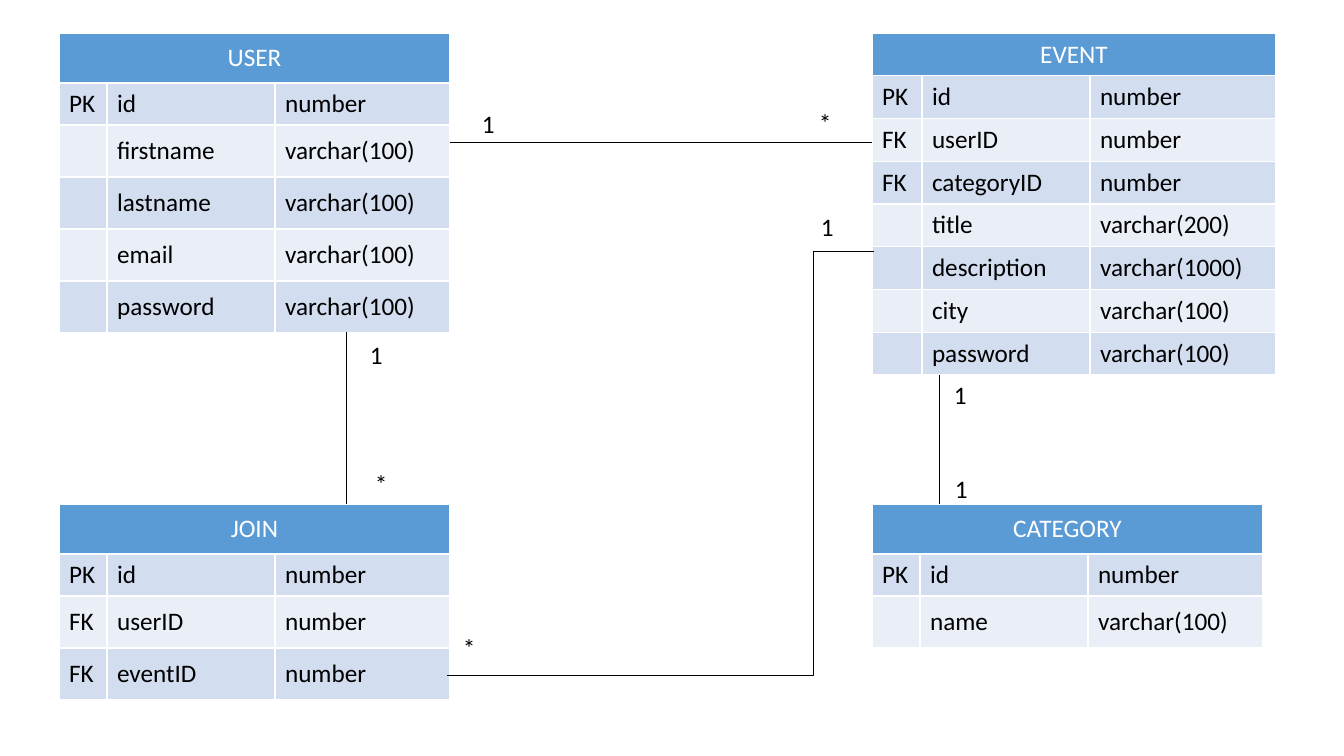
from dataclasses import dataclass

from lxml.etree import SubElement
from pptx import Presentation
from pptx.dml.color import RGBColor
from pptx.enum.shapes import MSO_CONNECTOR
from pptx.enum.text import MSO_ANCHOR, MSO_AUTO_SIZE, PP_ALIGN
from pptx.oxml.ns import qn
from pptx.util import Pt

SCALE = 914400 / 100.8


@dataclass(frozen=True)
class Theme:
    font: str = "Calibri"
    size: int = 18
    text: str = "000000"
    header_text: str = "FFFFFF"
    header: str = "5B9BD5"
    bands: tuple = ("D2DEEF", "EAEFF7")
    line: str = "000000"
    line_width: float = 0.5


THEME = Theme()
COLS = (48, 168, 175)
HEADER_H, KEY_H, FIELD_H = 50, 42, 52

USER = [
    ("PK", "id", "number"),
    ("", "firstname", "varchar(100)"),
    ("", "lastname", "varchar(100)"),
    ("", "email", "varchar(100)"),
    ("", "password", "varchar(100)"),
]
EVENT = [
    ("PK", "id", "number"),
    ("FK", "userID", "number"),
    ("FK", "categoryID", "number"),
    ("", "title", "varchar(200)"),
    ("", "description", "varchar(1000)"),
    ("", "city", "varchar(100)"),
    ("", "password", "varchar(100)"),
]
CATEGORY = [
    ("PK", "id", "number"),
    ("", "name", "varchar(100)"),
]
JOIN = [
    ("PK", "id", "number"),
    ("FK", "userID", "number"),
    ("FK", "eventID", "number"),
]


def px(n):
    return round(n * SCALE)


def write(tf, text, color=THEME.text, size=THEME.size, align=PP_ALIGN.LEFT):
    p = tf.paragraphs[0]
    p.alignment = align
    r = p.add_run()
    r.text = text
    r.font.name = THEME.font
    r.font.size = Pt(size)
    r.font.bold = False
    r.font.color.rgb = RGBColor.from_string(color)


def style_cell(cell, fill):
    cell.fill.solid()
    cell.fill.fore_color.rgb = RGBColor.from_string(fill)
    cell.vertical_anchor = MSO_ANCHOR.MIDDLE


def add_entity(s, name, fields, x, y, cols=COLS, heights=None):
    heights = heights or [HEADER_H, KEY_H] + [FIELD_H] * (len(fields) - 1)
    table = s.shapes.add_table(len(heights), len(cols), px(x), px(y),
                               px(sum(cols)), px(sum(heights))).table
    for col, width in zip(table.columns, cols):
        col.width = px(width)
    for row, height in zip(table.rows, heights):
        row.height = px(height)
    title = table.cell(0, 0)
    title.merge(table.cell(0, len(cols) - 1))
    style_cell(title, THEME.header)
    write(title.text_frame, name, color=THEME.header_text, align=PP_ALIGN.CENTER)
    for i, field in enumerate(fields):
        for j, text in enumerate(field):
            cell = table.cell(i + 1, j)
            style_cell(cell, THEME.bands[i % 2])
            if text:
                write(cell.text_frame, text)


def add_relation(s, x1, y1, x2, y2, bend=None):
    kind = MSO_CONNECTOR.STRAIGHT if bend is None else MSO_CONNECTOR.ELBOW
    sp = s.shapes.add_connector(kind, px(x1), px(y1), px(x2), px(y2))
    sp.line.color.rgb = RGBColor.from_string(THEME.line)
    sp.line.width = Pt(THEME.line_width)
    spPr = sp._element.spPr
    SubElement(spPr, qn("a:effectLst"))
    if bend is not None:
        guides = spPr.find(qn("a:prstGeom")).get_or_add_avLst()
        ratio = (x1 - bend) / (x1 - x2)
        SubElement(guides, qn("a:gd"), name="adj1", fmla=f"val {round(ratio * 100000)}")


def add_multiplicity(s, text, x, y):
    tf = s.shapes.add_textbox(px(x), px(y), px(54), px(41)).text_frame
    tf.word_wrap = True
    tf.auto_size = MSO_AUTO_SIZE.SHAPE_TO_FIT_TEXT
    write(tf, text)


def main():
    prs = Presentation()
    prs.slide_width, prs.slide_height = px(1344), px(756)
    s = prs.slides.add_slide(prs.slide_layouts[6])

    left, right, top, low = 59, 872, 33, 504
    add_entity(s, "USER", USER, left, top)
    add_entity(s, "EVENT", EVENT, right, top, cols=(50, 168, 186),
               heights=[342 / 8] * 8)
    add_entity(s, "CATEGORY", CATEGORY, right, low)
    add_entity(s, "JOIN", JOIN, left, low)

    add_relation(s, right, 142, left + sum(COLS), 142)
    add_relation(s, 346, 332, 346, low)
    add_relation(s, 874, 251, 447, 675, bend=814)
    add_relation(s, 939, 375, 939, low)

    for text, x, y in (
        ("*", 809, 102), ("1", 472, 103),
        ("*", 365, 463), ("1", 360, 334),
        ("1", 944, 374), ("1", 945, 468),
        ("*", 453, 627), ("1", 811, 206),
    ):
        add_multiplicity(s, text, x, y)

    prs.save("out.pptx")


main()
